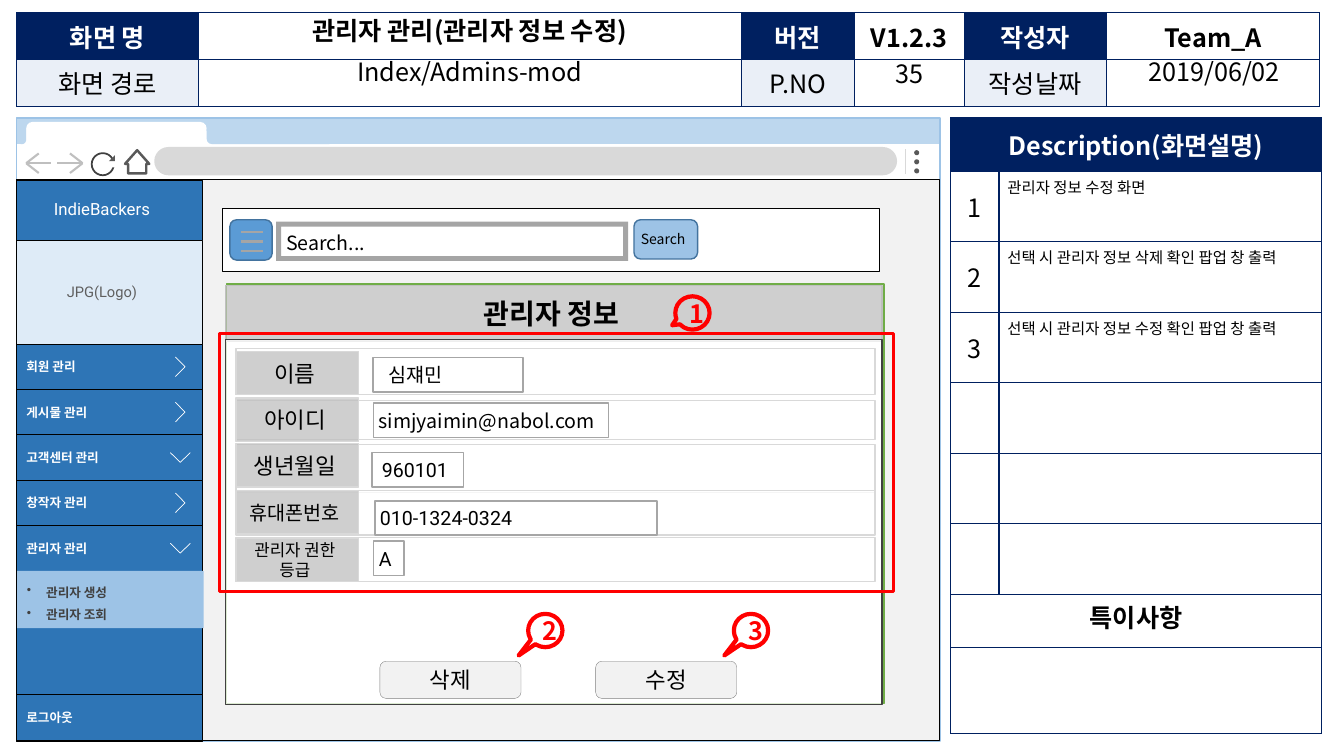
from lxml import etree
from pptx import Presentation
from pptx.dml.color import RGBColor
from pptx.enum.shapes import MSO_CONNECTOR, MSO_SHAPE
from pptx.enum.text import MSO_ANCHOR, MSO_AUTO_SIZE, PP_ALIGN
from pptx.oxml.ns import qn
from pptx.util import Pt

RECT, ROUND, OVAL = MSO_SHAPE.RECTANGLE, MSO_SHAPE.ROUNDED_RECTANGLE, MSO_SHAPE.OVAL
TRIANGLE, DOWN_ARROW, FRAME = MSO_SHAPE.ISOSCELES_TRIANGLE, MSO_SHAPE.DOWN_ARROW, MSO_SHAPE.FRAME
CALLOUT = MSO_SHAPE.OVAL_CALLOUT
LEFT, CENTER = PP_ALIGN.LEFT, PP_ALIGN.CENTER
TOP, MIDDLE = MSO_ANCHOR.TOP, MSO_ANCHOR.MIDDLE
STRAIGHT = MSO_CONNECTOR.STRAIGHT
KR, ROBOTO = "Noto Sans CJK KR", "Roboto"
C = {k: RGBColor.from_string(v) for k, v in {
    "white": "FFFFFF", "black": "000000", "navy": "002060", "ice": "EAEFF7",
    "menu": "2E75B6", "logo": "DEEBF7", "sub": "9DC3E6", "tabs": "BDD7EE",
    "blue": "5B9BD5", "edge": "43739E", "page": "F2F2F2", "light": "D9D9D9",
    "silver": "BFBFBF", "mid": "A6A6A6", "steel": "A5A5A5", "gray": "808080",
    "dim": "5F5F5F", "dark": "595959", "ink": "404040", "green": "70AD47",
    "red": "FF0000"}.items()}


def write(tf, text, size, color="black", bold=False, align=LEFT, font=ROBOTO):
    for i, line in enumerate(text.split("\n")):
        p = tf.add_paragraph() if i else tf.paragraphs[0]
        p.text, p.alignment = line, align
        p.font.size, p.font.bold, p.font.name = Pt(size), bold, font
        p.font.color.rgb = C[color]
        etree.SubElement(p.font._rPr, qn("a:ea")).set("typeface", KR)


def box(kind, x, y, w, h, fill=None, line=None, width=1, adj=(), alpha=None,
        text=None, margins=(7.2, 3.6, 7.2, 3.6), anchor=MIDDLE, wrap=True, **style):
    pos = Pt(x), Pt(y), Pt(w), Pt(h)
    sp = s.shapes.add_shape(kind, *pos) if kind else s.shapes.add_textbox(*pos)
    sp.shadow.inherit = False
    for i, value in enumerate(adj):
        sp.adjustments[i] = value
    if fill:
        sp.fill.solid()
        sp.fill.fore_color.rgb = C[fill]
    else:
        sp.fill.background()
    if alpha:
        clr = sp._element.spPr.find(qn("a:solidFill"))[0]
        etree.SubElement(clr, qn("a:alpha")).set("val", str(alpha * 1000))
    if line:
        sp.line.color.rgb, sp.line.width = C[line], Pt(width)
    else:
        sp.line.fill.background()
    if text:
        tf = sp.text_frame
        tf.word_wrap, tf.vertical_anchor = wrap, anchor
        tf.margin_left, tf.margin_top, tf.margin_right, tf.margin_bottom = map(Pt, margins)
        write(tf, text, **style)
    return sp


prs = Presentation()
prs.slide_width, prs.slide_height = Pt(960), Pt(540)
s = prs.slides.add_slide(prs.slide_layouts[5])

box(RECT, 12, 102.2, 659.5, 26.6, "white", "black", 0.5)
box(ROUND, 110.2, 105, 530.6, 20.2, "light", adj=[0.5])
for i in range(3):
    box(OVAL, 653, 107.3 + 6.5 * i, 3.6, 3.6, "dark")
box(RECT, 12, 84.2, 659.5, 18.7, "tabs")
box(OVAL, 65.5, 109.4, 15.8, 15.8, None, "ink", 1.25)
box(RECT, 78.5, 113.8, 5.8, 5.8, "white")
box(TRIANGLE, 77.8, 110.9, 4.3, 4.3, "dark", adj=[1])
box(DOWN_ARROW, 89.3, 107.3, 17.3, 16.6, "white", "dark", 1.75, [0.75, 0.586]).rotation = 180
for x, y, w, h, fill, adj in [
        (18.7, 87.1, 128.9, 16.6, "white", 0.276), (135.4, 93.6, 24.5, 10.8, "white", 0.167),
        (147.6, 88.6, 91.4, 14.4, "tabs", 0.276), (15.1, 93.6, 9.4, 10.8, "white", 0.167),
        (12.2, 88.6, 6.5, 14.4, "tabs", 0.462)]:
    box(ROUND, x, y, w, h, fill, adj=[adj])
box(RECT, 12, 84.2, 659.5, 445, None, "sub")

tables = [
    ((12, 9), (129.6, 388, 80.6, 78.5, 101.5, 152.6), (33.5, 33.5), (7.2, 3.6),
     [["화면 명", "", "버전", "V1.2.3", "작성자", "Team_A"],
      ["화면 경로", "", "P.NO", "", "작성날짜", ""]]),
    ((679, 84.2), (34.6, 230.4), (38, *[50.4] * 6, 38, 61.2), (6, 3),
     [["Description(화면설명)", ""], ["1", "관리자 정보 수정 화면"],
      ["2", "선택 시 관리자 정보 삭제 확인 팝업 창 출력"],
      ["3", "선택 시 관리자 정보 수정 확인 팝업 창 출력"],
      *[["", ""]] * 3, ["특이사항", ""], ["", ""]])]
for (x, y), cols, rows, (mx, my), data in tables:
    header = len(cols) == 6
    tb = s.shapes.add_table(len(rows), len(cols), Pt(x), Pt(y), Pt(sum(cols)), Pt(sum(rows))).table
    tb.first_row = tb.horz_banding = False
    for i, w in enumerate(cols):
        tb.columns[i].width = Pt(w)
    for r, h in enumerate(rows):
        tb.rows[r].height = Pt(h)
        if not header and r in (0, 7, 8):
            tb.cell(r, 0).merge(tb.cell(r, 1))
        for c, text in enumerate(data[r]):
            cell = tb.cell(r, c)
            label = header and c % 2 == 0
            navy = r == 0 and (label or not header)
            note = not header and c == 1
            cell.fill.solid()
            cell.fill.fore_color.rgb = C["navy" if navy else "ice" if label else "white"]
            cell.margin_left = cell.margin_right = Pt(mx)
            cell.margin_top = cell.margin_bottom = Pt(my)
            cell.vertical_anchor = TOP if note or r == 7 else MIDDLE
            if text:
                write(cell.text_frame, text, 11 if note else 18, "white" if navy else "black",
                      r in (0, 7), LEFT if note else CENTER, KR)
            for i, side in enumerate(("a:lnL", "a:lnR", "a:lnT", "a:lnB")):
                ln = etree.Element(qn(side), w=str(Pt(1)))
                fill = etree.SubElement(ln, qn("a:solidFill"))
                etree.SubElement(fill, qn("a:srgbClr")).set("val", str(C["navy"]))
                cell._tc.get_or_add_tcPr().insert(i, ln)

title = s.shapes.title
s.shapes._spTree.append(title._element)
title.left, title.top, title.width, title.height = Pt(142), Pt(10), Pt(387), Pt(27.4)
tf = title.text_frame
tf.auto_size, tf.vertical_anchor = MSO_AUTO_SIZE.NONE, TOP
write(tf, "관리자 관리(관리자 정보 수정)", 18, "black", True, CENTER, KR)
tf.paragraphs[0].line_spacing = 0.9
for x, w, text in [(142, 387, "Index/Admins-mod"), (791.3, 152, "2019/06/02")]:
    sp = box(None, x, 39, w, 27.4, text=text, size=18, align=CENTER, font=KR, anchor=TOP)
    sp.text_frame.paragraphs[0].line_spacing = 0.9
box(None, 610.6, 39, 77.8, 27.4, text="35", size=18, align=CENTER, font=KR)

box(RECT, 11.7, 128.4, 659.5, 400.3, "page", "black", 0.5)
side = dict(margins=(7.2, 3.6, 18, 3.6), color="white")
box(RECT, 11.7, 129, 133.2, 400.3, "menu", "black", 0.5, text="IndieBackers", size=12,
    color="white", align=CENTER, anchor=TOP, margins=(7.2, 13, 18, 3.6))
box(RECT, 11.7, 171.5, 133.2, 74.2, "logo", "black", 0.5, text="JPG(Logo)", size=10.5,
    color="dim", align=CENTER, margins=(7.2, 3.6, 18, 3.6))
menu = [("회원 관리", False), ("게시물 관리", False), ("고객센터 관리", True),
        ("창작자 관리", False), ("관리자 관리", True)]
for i, (text, opened) in enumerate(menu):
    y = 245.8 + 32.4 * i
    box(RECT, 11.7, y, 133.2, 32.4, "menu", "black", 0.5, text=text, size=9, bold=True, **side)
    mid = y + 16.2
    if opened:
        pts = [(121.7, mid - 3.5), (128.8, mid + 3.5), (136, mid - 3.5)]
    else:
        pts = [(125.3, mid - 7), (132.2, mid), (125.3, mid + 7)]
    pts = [(Pt(x), Pt(y)) for x, y in pts]
    fb = s.shapes.build_freeform(*pts[0])
    fb.add_line_segments(pts[1:], close=False)
    sp = fb.convert_to_shape()
    sp.shadow.inherit = False
    sp.fill.background()
    sp.line.color.rgb, sp.line.width = C["white"], Pt(0.5)
box(RECT, 11.7, 496.1, 133.2, 32.6, "menu", "black", 0.5, text="로그아웃", size=9, bold=True, **side)
sp = box(RECT, 12.2, 407.8, 133.2, 41, "sub", text="관리자 생성\n관리자 조회", size=9,
         color="ink", bold=True, margins=(7.2, 3.6, 18, 3.6))
for p in sp.text_frame.paragraphs:
    p.line_spacing = 1.5
    pPr = p._p.get_or_add_pPr()
    pPr.set("marL", str(Pt(13.7)))
    pPr.set("indent", str(Pt(-13.7)))
    bullet = etree.Element(qn("a:buChar"), char="•")
    pPr.find(qn("a:defRPr")).addprevious(bullet)

box(RECT, 159.1, 149, 469.4, 44.6, "white", "black", 0.5)
box(ROUND, 164.2, 157, 30.2, 28.8, "blue", "edge")
box(FRAME, 197.3, 158.4, 251.3, 28, "steel", adj=[0.125])
box(None, 197.3, 161.3, 80, 24.5, text="Search...", size=14, font=KR, anchor=TOP)
box(ROUND, 452.9, 157, 45.4, 28, "sub", "edge")
box(None, 450.7, 161.3, 54.7, 19.4, text="Search", size=10, font=KR, anchor=TOP)

cell_margins = (3.6, 3.6, 7.2, 3.6)
box(RECT, 162, 203, 469.4, 299.5, "white", "green")
box(RECT, 161.3, 203.8, 468.7, 40.3, "silver", "silver", alpha=75, text="관리자 정보", size=20,
    bold=True, align=CENTER, margins=cell_margins)
box(RECT, 161.3, 242.6, 468.7, 260.6, "white", "ink", alpha=75)
form = [
    ("이름", 16, 249, 33, 251, "심쟤민", 266.4, 255.6, 107.3, 11),
    ("아이디", 16, 286, 28, 284.4, "simjyaimin@nabol.com", 267, 288, 167.8, 3.6),
    ("생년월일", 16, 317.5, 34.5, 316.8, "960101", 265.7, 323.3, 65.5, 7),
    ("휴대폰번호", 14, 350.6, 31.7, 350.6, "010-1324-0324", 267.8, 357.8, 201.6, 3.6),
    ("관리자 권한 등급", 12, 383.8, 31.7, 384.5, "A", 267, 386.6, 21.6, 3.6)]
for label, size, band_y, band_h, label_y, value, x, y, w, inset in form:
    box(RECT, 168.5, band_y, 456.5, band_h, "white", "light", alpha=75)
    box(RECT, 168.5, label_y, 87.8, 31, "silver", "light", alpha=75, text=label, size=size,
        align=CENTER, margins=cell_margins)
    sp = box(RECT, x, y, w, 24.5, "white", "mid", alpha=75, text=value, size=14,
             margins=(inset, 3.6, 3.6, 3.6))
    if "@" in value:
        sp.text_frame.paragraphs[0].font.name = KR
box(RECT, 157, 238.3, 481, 184.3, None, "red", 2.25)
for text, x, y, adj in [("1", 482.4, 211.7, (-0.593, 0.369)), ("2", 377.3, 438.5, (-0.779, 0.751)),
                        ("3", 524.2, 438.5, (-0.779, 0.751))]:
    box(CALLOUT, x, y, 24.5, 23.8, None, "red", 3, adj, text=text, size=18, color="red",
        bold=True, align=CENTER, font=KR, margins=(7, 3.6, 0, 3.6), wrap=False)
for text, x in [("삭제", 271.4), ("수정", 425.5)]:
    box(ROUND, x, 472.3, 100.8, 26.6, "page", "gray", 0.25, text=text, size=16, align=CENTER,
        margins=(7.2, 0, 7.2, 0.7))

lines = [(646.6, 106.6, 646.6, 124.6, "light", 1)]
for tip, way in [(18.7, 1), (59, -1)]:
    for dx, dy in [(18, 0), (9, -7), (9, 7)]:
        lines.append((tip, 116.6, tip + way * dx, 116.6 + dy, "silver", 1.5))
for i in range(3):
    lines.append((172, 165.6 + 6.9 * i, 187.9, 165.6 + 6.9 * i, "steel", 1.5))
for x1, y1, x2, y2, color, width in lines:
    ln = s.shapes.add_connector(STRAIGHT, Pt(x1), Pt(y1), Pt(x2), Pt(y2))
    ln.line.color.rgb, ln.line.width = C[color], Pt(width)
    etree.SubElement(ln._element.spPr, qn("a:effectLst"))

prs.save("out.pptx")
